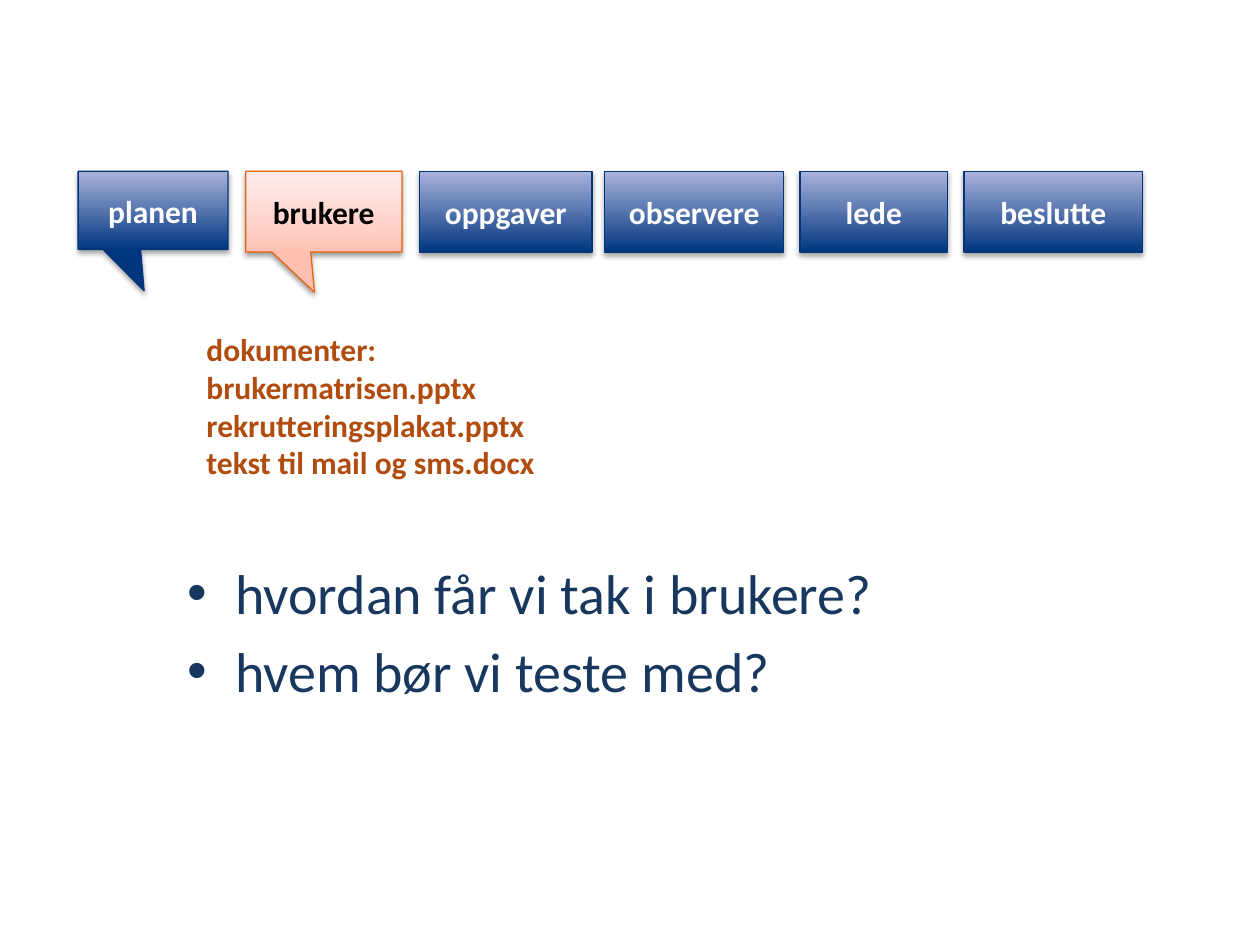
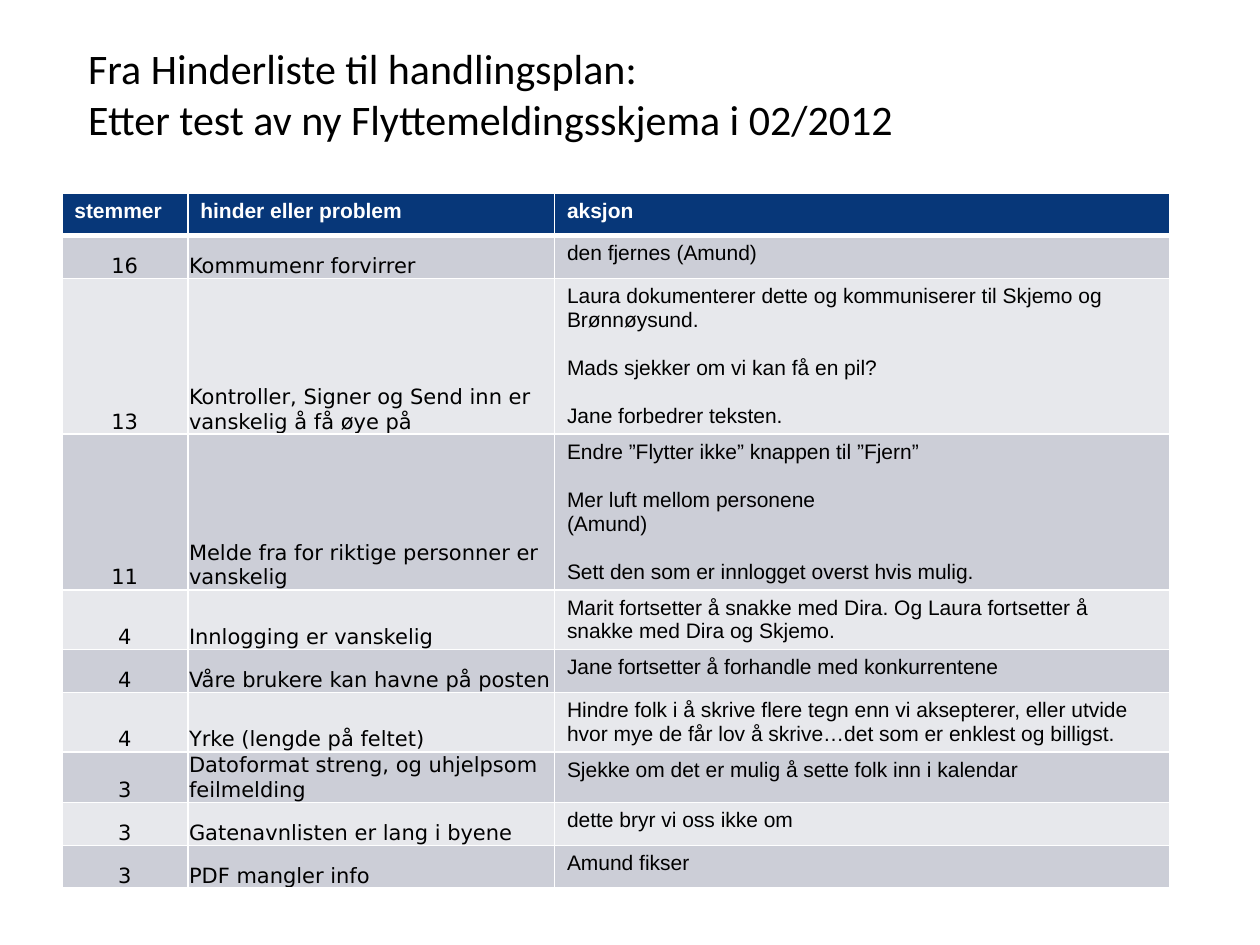
from typing import NamedTuple, Optional

from lxml.etree import SubElement
from pptx import Presentation
from pptx.dml.color import RGBColor
from pptx.enum.shapes import MSO_SHAPE
from pptx.enum.text import MSO_ANCHOR, MSO_AUTO_SIZE, PP_ALIGN
from pptx.oxml.ns import qn
from pptx.util import Inches, Pt

WIDE, TALL = Inches(10), Inches(7.5)
HEX = {
    "white": "FFFFFF", "black": "000000", "navy": "17375E", "rust": "B14C0F",
    "edge": "043579", "deep": "003680", "pale": "ABB3DC",
    "flame": "EB620F", "coral": "FFC0B3", "peach": "FFD2CA", "blush": "FFEEEB",
    "head": "073779", "dark": "CCCED7", "light": "E7E8EC",
}


class Box(NamedTuple):
    left: float
    top: float
    width: float
    height: float

    def place(self) -> tuple[int, int, int, int]:
        return (int(WIDE * self.left / 100), int(TALL * self.top / 100),
                int(WIDE * self.width / 100), int(TALL * self.height / 100))


class Type(NamedTuple):
    size: float
    tint: str
    face: str = "Calibri"
    bold: bool = False


class Look(NamedTuple):
    stops: tuple[tuple[int, str], ...]
    edge: str
    ink: str
    shade: int
    drop: float


class Step(NamedTuple):
    label: str
    left: float
    width: float
    look: Look
    height: float = 8.53
    tail: Optional[float] = None


class Row(NamedTuple):
    votes: str
    issue: str
    action: str


BLUE = Look(((0, "deep"), (100, "pale")), "edge", "white", 35, 1.8)
WARM = Look(((0, "coral"), (35, "peach"), (100, "blush")), "flame", "black", 38, 1.6)

STEPS = (
    Step("planen", 6.2, 11.9, BLUE, 8.27, 1.03),
    Step("brukere", 19.5, 12.4, WARM, tail=1.0),
    Step("oppgaver", 33.3, 13.7, BLUE),
    Step("observere", 48, 14.2, BLUE),
    Step("lede", 63.5, 11.7, BLUE),
    Step("beslutte", 76.5, 14.2, BLUE),
)
FILES = "dokumenter:\nbrukermatrisen.pptx\nrekrutteringsplakat.pptx\ntekst til mail og sms.docx"
ASKS = "hvordan får vi tak i brukere?\nhvem bør vi teste med?"
TITLE = "Fra Hinderliste til handlingsplan:\nEtter test av ny Flyttemeldingsskjema i 02/2012"
ROWS = (
    Row("stemmer", "hinder eller problem", "aksjon"),
    Row("16", "Kommumenr forvirrer", "den fjernes (Amund)"),
    Row("13", "Kontroller, Signer og Send inn er vanskelig å få øye på",
        "Laura dokumenterer dette og kommuniserer til Skjemo og Brønnøysund.\n\n"
        "Mads sjekker om vi kan få en pil?\n\nJane forbedrer teksten."),
    Row("11", "Melde fra for riktige personner er vanskelig",
        "Endre ”Flytter ikke” knappen til ”Fjern”\n\n"
        "Mer luft mellom personene\n(Amund)\n\n"
        "Sett den som er innlogget overst hvis mulig."),
    Row("4", "Innlogging er vanskelig",
        "Marit fortsetter å snakke med Dira. Og Laura fortsetter å snakke "
        "med Dira og Skjemo."),
    Row("4", "Våre brukere kan havne på posten",
        "Jane fortsetter å forhandle med konkurrentene"),
    Row("4", "Yrke (lengde på feltet)",
        "Hindre folk i å skrive flere tegn enn vi aksepterer, eller utvide "
        "hvor mye de får lov å skrive…det som er enklest og billigst."),
    Row("3", "Datoformat streng, og uhjelpsom feilmelding",
        "Sjekke om det er mulig å sette folk inn i kalendar"),
    Row("3", "Gatenavnlisten er lang i byene", "dette bryr vi oss ikke om"),
    Row("3", "PDF mangler info", "Amund fikser"),
)
COLS = (10, 29.1, 48.8)


def tone(name: str) -> RGBColor:
    return RGBColor.from_string(HEX[name])


def write(frame, text: str, kind: Type, align=None, gap: float = 14) -> None:
    first = True
    for block in text.split("\n\n"):
        for spot, line in enumerate(block.split("\n")):
            para = frame.paragraphs[0] if first else frame.add_paragraph()
            if align is not None:
                para.alignment = align
            if spot == 0 and not first:
                para.space_before = Pt(gap)
            run = para.add_run()
            run.text = line
            font = run.font
            font.size, font.name, font.bold = Pt(kind.size), kind.face, kind.bold
            font.color.rgb = tone(kind.tint)
            first = False


def tint(parent, name: str):
    return SubElement(parent, qn("a:srgbClr"), val=HEX[name])


def blend(shape, look: Look) -> None:
    props = shape.fill._xPr
    grad = SubElement(props, qn("a:gradFill"), rotWithShape="1")
    stops = SubElement(grad, qn("a:gsLst"))
    for share, name in look.stops:
        tint(SubElement(stops, qn("a:gs"), pos=str(share * 1000)), name)
    SubElement(grad, qn("a:lin"), ang="16200000", scaled="0")
    props.find(qn("a:ln")).addprevious(grad)
    glow = SubElement(props.find(qn("a:effectLst")), qn("a:outerShdw"),
                      blurRad=str(int(Pt(3.1))), dist=str(int(Pt(look.drop))),
                      dir="5400000", rotWithShape="0")
    SubElement(tint(glow, "black"), qn("a:alpha"), val=str(look.shade * 1000))


def draw(slide, step: Step) -> None:
    form = MSO_SHAPE.RECTANGLE if step.tail is None else MSO_SHAPE.RECTANGULAR_CALLOUT
    box = Box(step.left, 18.13, step.width, step.height)
    shape = slide.shapes.add_shape(form, *box.place())
    if step.tail is not None:
        shape.adjustments[0], shape.adjustments[1] = -0.06, step.tail
    shape.line.color.rgb = tone(step.look.edge)
    shape.line.width = Pt(0.75)
    shape.shadow.inherit = False
    blend(shape, step.look)
    frame = shape.text_frame
    frame.word_wrap = True
    frame.vertical_anchor = MSO_ANCHOR.MIDDLE
    write(frame, step.label, Type(18, step.look.ink, bold=True), PP_ALIGN.CENTER)


def fit(shape, box: Box):
    shape.left, shape.top, shape.width, shape.height = box.place()
    frame = shape.text_frame
    frame.word_wrap = True
    frame.vertical_anchor = MSO_ANCHOR.TOP
    frame.auto_size = MSO_AUTO_SIZE.NONE
    return frame


def rule(cell, row: int) -> None:
    props = cell._tc.get_or_add_tcPr()
    sizes = {"L": 1, "R": 1, "T": 3 if row == 1 else 1, "B": 3 if row == 0 else 1}
    for side, size in sizes.items():
        line = SubElement(props, qn(f"a:ln{side}"), w=str(int(Pt(size))))
        tint(SubElement(line, qn("a:solidFill")), "white")


def grid(slide, box: Box) -> None:
    table = slide.shapes.add_table(len(ROWS), len(COLS), *box.place()).table
    table.first_row = table.horz_banding = False
    for col, share in zip(table.columns, COLS):
        col.width = int(WIDE * share / 100)
    for r, row in enumerate(ROWS):
        table.rows[r].height = Inches(0.34)
        for c, text in enumerate(row):
            cell = table.cell(r, c)
            rule(cell, r)
            cell.fill.solid()
            cell.fill.fore_color.rgb = tone("head" if r == 0 else "dark" if r % 2 else "light")
            kind, align = Type(12, "black", "Arial"), PP_ALIGN.LEFT
            if r == 0:
                kind = Type(12, "white", "Arial", True)
            elif c < 2:
                kind = Type(12, "black", "DejaVu Sans")
                align = PP_ALIGN.LEFT if c else PP_ALIGN.CENTER
                cell.vertical_anchor = MSO_ANCHOR.BOTTOM
                cell.margin_left = cell.margin_right = cell.margin_top = Inches(0.01)
                cell.margin_bottom = 0
            write(cell.text_frame, text, kind, align)


def users(deck) -> None:
    slide = deck.slides.add_slide(deck.slide_layouts[1])
    title = slide.shapes.title.element
    title.getparent().remove(title)
    for step in STEPS:
        draw(slide, step)
    body = fit(slide.placeholders[1], Box(13.9, 58.4, 68.5, 21.47))
    for spot, ask in enumerate(ASKS.split("\n")):
        para = body.paragraphs[0] if spot == 0 else body.add_paragraph()
        run = para.add_run()
        run.text = ask
        run.font.size, run.font.name = Pt(32), "Calibri"
        run.font.color.rgb = tone("navy")
    box = Box(15.4, 34.27, 33.5, 21.6)
    note = fit(slide.shapes.add_textbox(*box.place()), box)
    write(note, FILES, Type(18, "rust", bold=True))


def plan(deck) -> None:
    slide = deck.slides.add_slide(deck.slide_layouts[5])
    grid(slide, Box(4.9, 20.4, 87.9, 77.33))
    title = fit(slide.shapes.title, Box(6, 3.87, 73.4, 12.13))
    write(title, TITLE, Type(24, "black"), PP_ALIGN.LEFT, 0)


def main() -> None:
    deck = Presentation()
    deck.slide_width, deck.slide_height = WIDE, TALL
    users(deck)
    plan(deck)
    deck.save("out.pptx")


if __name__ == "__main__":
    main()
